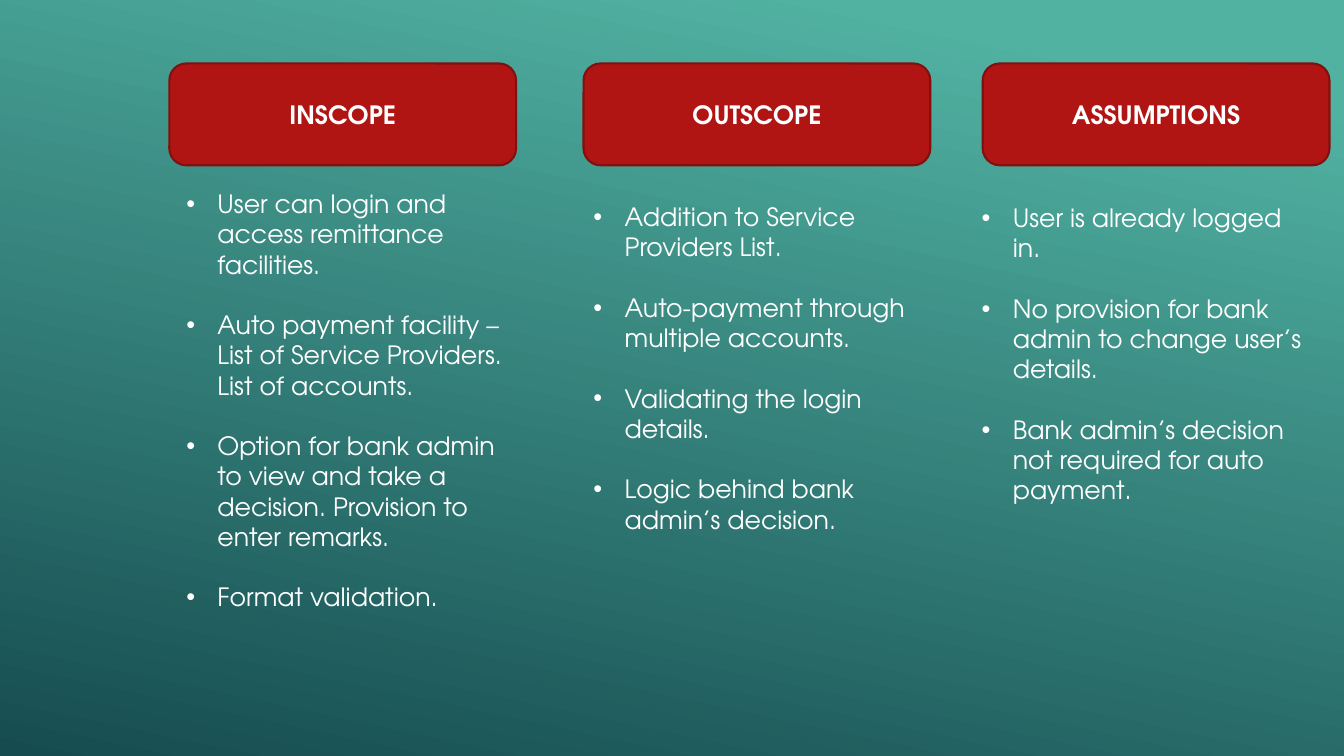
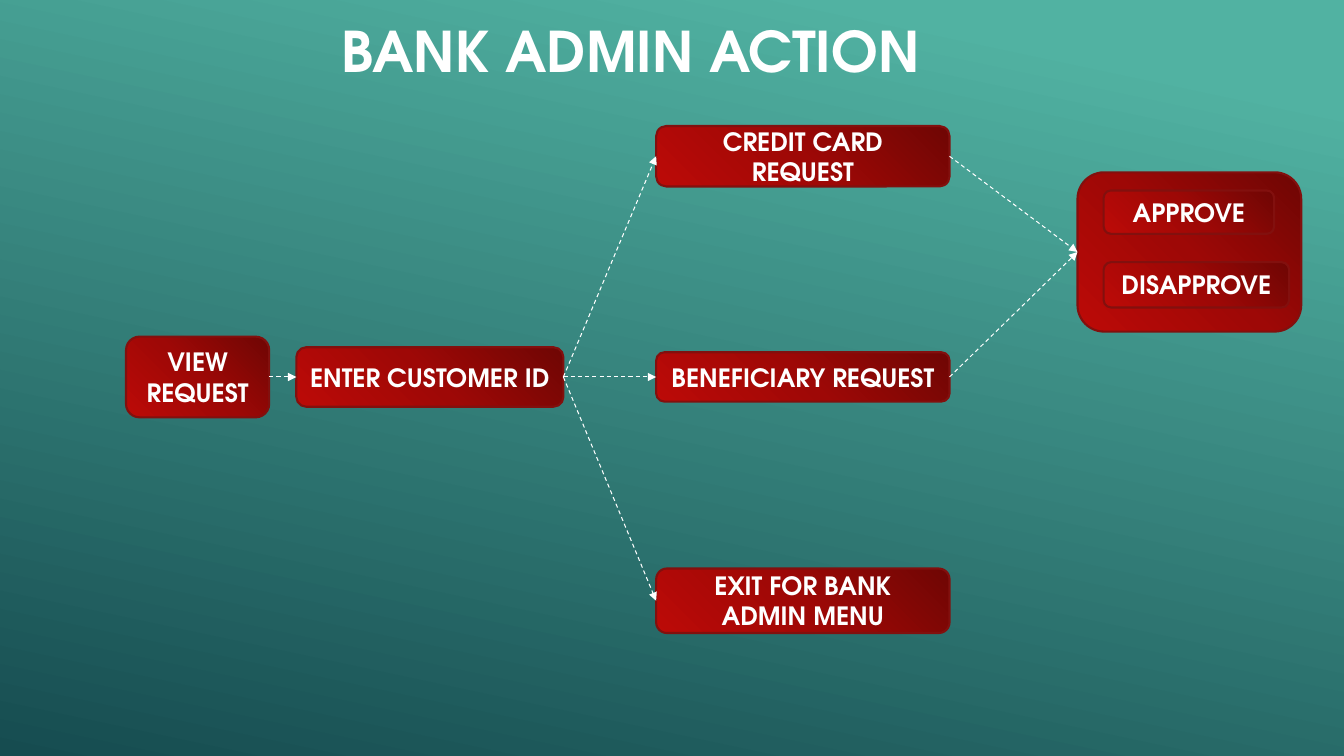
from copy import deepcopy

from lxml.etree import SubElement
from pptx import Presentation
from pptx.dml.color import RGBColor
from pptx.enum.dml import MSO_LINE
from pptx.enum.shapes import MSO_CONNECTOR, MSO_SHAPE
from pptx.enum.text import MSO_ANCHOR as Anchor, MSO_AUTO_SIZE as AutoSize, PP_ALIGN as Align
from pptx.oxml.ns import qn
from pptx.util import Inches, Pt

FONT = "TeX Gyre Adventor"
WHITE = RGBColor(0xFF, 0xFF, 0xFF)
RED = RGBColor(0xB0, 0x15, 0x13)
RED_EDGE = RGBColor(0x82, 0x10, 0x0E)
TEAL_STOPS = [(0.1, RGBColor(0x51, 0xB2, 0xA2)), (1, RGBColor(0x16, 0x4C, 0x50))]
RED_STOPS = [
    (0, RGBColor(0x6F, 0x06, 0x04)),
    (0.5, RGBColor(0x9E, 0x08, 0x06)),
    (1, RGBColor(0xBC, 0x0A, 0x07)),
]
TOP, LEFT, BOTTOM, RIGHT = range(4)

deck = Presentation()
deck.slide_width, deck.slide_height = Inches(13.33), Inches(7.5)
# One hundred columns by one hundred rows
COLUMN, ROW = deck.slide_width / 100, deck.slide_height / 100


def set_gradient(fill, element, stops, clockwise_angle):
    """Give the fill, which lies within element, any number of colour stops."""
    fill.gradient()
    fill.gradient_angle = 360 - clockwise_angle
    stop_list = element.find(".//" + qn("a:gsLst"))
    while len(stop_list) < len(stops):
        stop_list.append(deepcopy(stop_list[0]))
    for stop, (position, color) in zip(fill.gradient_stops, stops):
        stop.position = position
        stop.color.rgb = color


def add_box(page, text, left, top, width, height):
    """Add a red-edged rounded box, placed in columns and rows."""
    box = page.shapes.add_shape(
        MSO_SHAPE.ROUNDED_RECTANGLE,
        int(left * COLUMN), int(top * ROW), int(width * COLUMN), int(height * ROW))
    box.shadow.inherit = False
    box.line.color.rgb = RED_EDGE
    box.line.width = Pt(1.5)
    frame = box.text_frame
    frame.text = text
    frame.vertical_anchor = Anchor.MIDDLE
    para = frame.paragraphs[0]
    para.alignment = Align.CENTER
    para.font.size = Pt(18)
    para.font.bold = True
    return box


master = deck.slide_master
set_gradient(master.background.fill, master.element, TEAL_STOPS, 102)

# Scope: three headed lists
scope_page = deck.slides.add_slide(deck.slide_layouts[6])
# heading, heading left, list left, list top, list width, items
scope_lists = [
    ("INSCOPE", 12.6, 13.12, 24.27, 25.28, [
        "User can login and access remittance facilities.",
        "Auto payment facility – List of Service Providers. List of accounts.",
        "Option for bank admin to view and take a decision. Provision to enter remarks.",
        "Format validation.",
    ]),
    ("OUTSCOPE", 43.42, 43.42, 26, 25.8, [
        "Addition to Service Providers List.",
        "Auto-payment through multiple accounts.",
        "Validating the login details.",
        "Logic behind bank admin’s decision.",
    ]),
    ("ASSUMPTIONS", 73.12, 72.3, 26.13, 25.8, [
        "User is already logged in.",
        "No provision for bank admin to change user’s details.",
        "Bank admin’s decision not required for auto payment.",
    ]),
]
for heading, heading_left, left, top, width, items in scope_lists:
    header = add_box(scope_page, heading, heading_left, 8.4, 25.8, 13.47)
    header.fill.solid()
    header.fill.fore_color.rgb = RED

    item_box = scope_page.shapes.add_textbox(
        int(left * COLUMN), int(top * ROW), int(width * COLUMN), int(65 * ROW))
    frame = item_box.text_frame
    frame.word_wrap = True
    frame.text = "\n".join(items)
    for para in frame.paragraphs:
        properties = para._p.get_or_add_pPr()
        properties.set("marL", str(Inches(0.31)))
        properties.set("indent", str(-Inches(0.31)))
        SubElement(properties, qn("a:buFont")).set("typeface", "Arial")
        SubElement(properties, qn("a:buChar")).set("char", "•")
        para.space_after = Pt(21.6)
        para.font.size = Pt(18)

# Bank admin action: flow of boxes
flow_page = deck.slides.add_slide(deck.slide_layouts[5])
title = flow_page.shapes.title
title.left, title.top = int(24.3 * COLUMN), int(1.47 * ROW)
title.width, title.height = int(45.22 * COLUMN), int(10.27 * ROW)
frame = title.text_frame
frame.text = "BANK ADMIN ACTION"
frame.word_wrap = False
frame.auto_size = AutoSize.NONE
frame.vertical_anchor = Anchor.TOP
para = frame.paragraphs[0]
para.alignment = Align.CENTER
para.font.size = Pt(40)
para.font.bold = True

# name: text, left, top, width, height
flow_boxes = {
    "decision": ("", 80.17, 22.8, 16.65, 21.07),
    "view": ("VIEW REQUEST", 9.38, 44.53, 10.65, 10.67),
    "customer": ("ENTER CUSTOMER ID", 22.05, 45.93, 19.87, 7.87),
    "card": ("CREDIT CARD REQUEST", 48.82, 16.67, 21.83, 8),
    "beneficiary": ("BENEFICIARY REQUEST", 48.82, 46.6, 21.83, 6.53),
    "exit": ("EXIT FOR BANK ADMIN MENU", 48.82, 75.2, 21.83, 8.53),
    "approve": ("APPROVE", 82.12, 25.2, 12.68, 5.73),
    "disapprove": ("DISAPPROVE", 82.12, 34.67, 13.8, 6),
}
boxes = {}
for name, (text, *place) in flow_boxes.items():
    boxes[name] = add_box(flow_page, text, *place)
    set_gradient(boxes[name].fill, boxes[name].element, RED_STOPS, 135)

for source, target in [
    ("view", "customer"),
    ("customer", "card"),
    ("customer", "beneficiary"),
    ("customer", "exit"),
    ("card", "decision"),
    ("beneficiary", "decision"),
]:
    arrow = flow_page.shapes.add_connector(MSO_CONNECTOR.STRAIGHT, 0, 0, 0, 0)
    arrow.begin_connect(boxes[source], RIGHT)
    arrow.end_connect(boxes[target], LEFT)
    arrow.line.color.rgb = WHITE
    arrow.line.width = Pt(0.75)
    arrow.line.dash_style = MSO_LINE.DASH
    outline = arrow.element.find(".//" + qn("a:ln"))
    SubElement(outline, qn("a:tailEnd")).set("type", "triangle")
    SubElement(outline.getparent(), qn("a:effectLst"))

# All text shares one typeface and colour
for page in deck.slides:
    for shape in page.shapes:
        if shape.has_text_frame:
            for para in shape.text_frame.paragraphs:
                para.font.name = FONT
                para.font.color.rgb = WHITE

deck.save("out.pptx")
